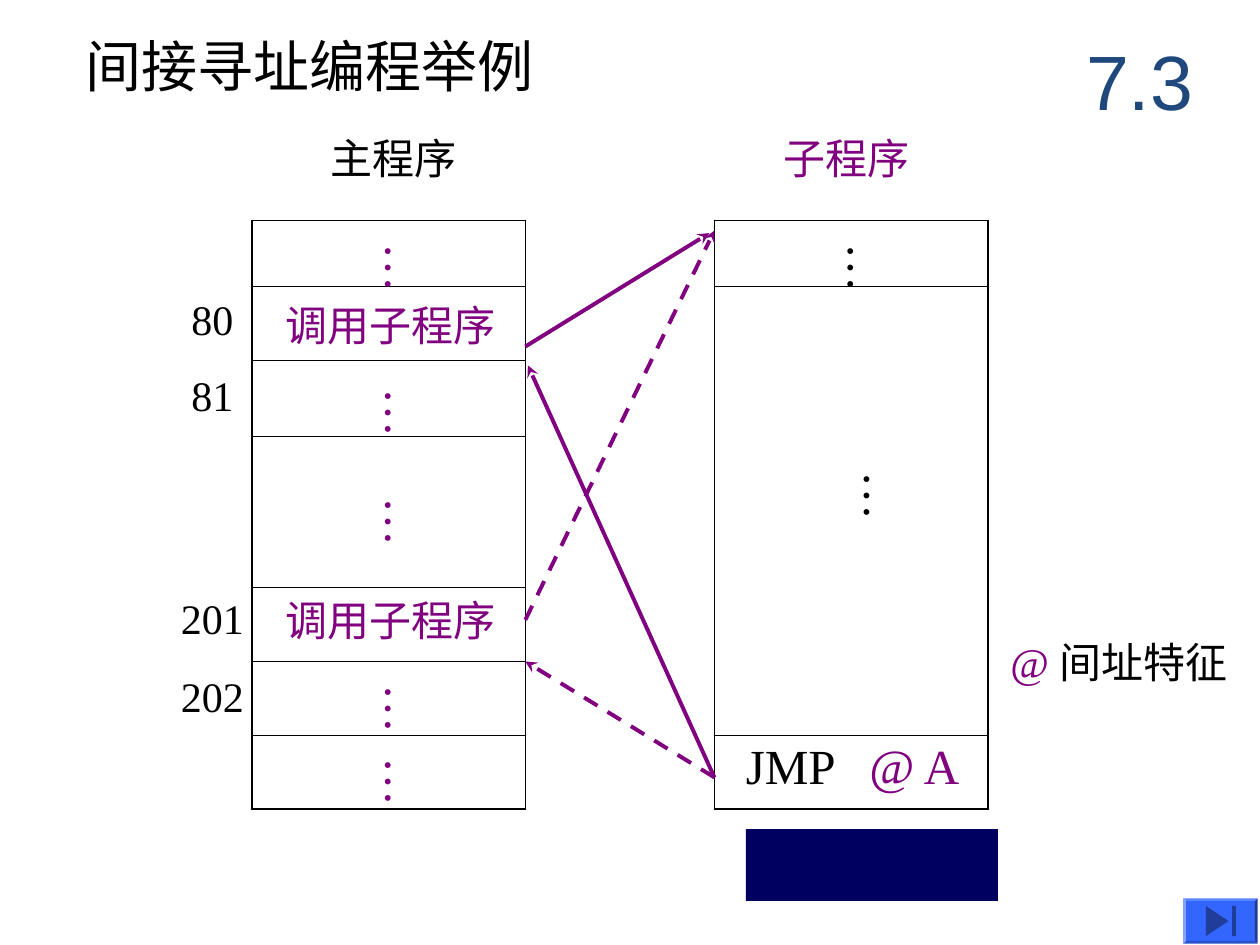
from dataclasses import dataclass

from lxml.etree import SubElement
from pptx import Presentation
from pptx.dml.color import RGBColor
from pptx.enum.dml import MSO_LINE
from pptx.enum.shapes import MSO_CONNECTOR, MSO_SHAPE
from pptx.enum.text import MSO_ANCHOR, PP_ALIGN
from pptx.oxml.ns import qn
from pptx.util import Inches, Pt


@dataclass(frozen=True)
class Theme:
    """Colours, fonts and type sizes of the slide."""
    ink: RGBColor = RGBColor.from_string("000000")
    accent: RGBColor = RGBColor.from_string("800080")
    section: RGBColor = RGBColor.from_string("1F497D")
    panel: RGBColor = RGBColor.from_string("000060")
    button: RGBColor = RGBColor.from_string("3366FF")
    symbol: RGBColor = RGBColor.from_string("1F3D99")
    serif: str = "Times New Roman"
    sans: str = "Arial"
    label: int = 24
    code: int = 28
    title: int = 32
    number: int = 44
    thin: float = 0.45
    frame: float = 1.08
    arrow: float = 2.25


THEME = Theme()
DOTS = "…"
CALL = "调用子程序"
COLUMN_WIDTH = 2.17
MAIN_ROWS = [
    (0.52, "", 0, DOTS, 0.08),
    (0.59, "80", 0.01, CALL, 0.06),
    (0.6, "81", 0.02, DOTS, 0.12),
    (1.2, "", 0, DOTS, 0.39),
    (0.59, "201", -0.01, CALL, 0.01),
    (0.59, "202", 0.02, DOTS, 0.08),
    (0.58, "", 0, DOTS, 0.07),
]
SUB_HEIGHTS = [0.52, 3.57, 0.58]
JUMPS = [
    (4.17, 2.75, 5.63, 1.85, False),
    (5.67, 6.17, 4.19, 2.9, False),
    (4.17, 4.92, 5.67, 1.83, True),
    (5.67, 6.17, 4.17, 5.25, True),
]


def style(paragraph, size, color=THEME.ink, align=PP_ALIGN.LEFT, font=THEME.serif):
    """Format a whole paragraph."""
    paragraph.alignment = align
    paragraph.font.name = font
    paragraph.font.size = Pt(size)
    paragraph.font.color.rgb = color


def paint(shape, color):
    """Give a shape a plain fill without line or shadow."""
    shape.shadow.inherit = False
    shape.fill.solid()
    shape.fill.fore_color.rgb = color
    shape.line.fill.background()


def add_text(slide, left, top, width, height, pieces, tab=None, inset=0.1, **look):
    """Place one line made of (text, colour) pieces and return its frame."""
    frame = slide.shapes.add_textbox(
        Inches(left), Inches(top), Inches(width), Inches(height)).text_frame
    frame.word_wrap = True
    frame.margin_left = Inches(inset)
    paragraph = frame.paragraphs[0]
    if tab:
        stops = SubElement(paragraph._p.get_or_add_pPr(), qn("a:tabLst"))
        SubElement(stops, qn("a:tab"), pos=str(Inches(tab)), algn="l")
    style(paragraph, color=pieces[0][1], **look)
    for text, color in pieces:
        run = paragraph.add_run()
        run.text = text
        if len(pieces) > 1:
            run.font.color.rgb = color
    return frame


def add_dots(slide, left, top, color):
    """Place an ellipsis that runs downwards."""
    frame = add_text(slide, left, top, 0.66, 0.5, [(DOTS, color)],
                     size=THEME.code, inset=0.05)
    frame.margin_right = Inches(0.05)
    frame.margin_top = frame.margin_bottom = Inches(0.1)
    frame._txBody.bodyPr.set("vert", "eaVert")


def add_border(cell, side, weight):
    """Draw one side of a cell."""
    line = SubElement(cell._tc.get_or_add_tcPr(), qn(f"a:ln{side}"), w=str(Pt(weight)))
    fill = SubElement(line, qn("a:solidFill"))
    SubElement(fill, qn("a:srgbClr"), val=str(THEME.ink))


def add_memory(slide, left, top, heights):
    """Draw a column of memory cells."""
    memory = slide.shapes.add_table(
        len(heights), 1, Inches(left), Inches(top),
        Inches(COLUMN_WIDTH), Inches(sum(heights))).table
    memory.first_row = memory.horz_banding = False
    last = len(heights) - 1
    for index, height in enumerate(heights):
        memory.rows[index].height = Inches(height)
        cell = memory.cell(index, 0)
        add_border(cell, "L", THEME.frame)
        add_border(cell, "R", THEME.frame)
        add_border(cell, "T", THEME.frame if index == 0 else THEME.thin)
        add_border(cell, "B", THEME.frame if index == last else THEME.thin)
        cell.fill.background()


def add_heading(slide, left, top, text, color):
    """Name a program above its column."""
    add_text(slide, left, top, 1.75, 0.5, [(text, color)],
             size=THEME.label, align=PP_ALIGN.CENTER)


def add_main_program(slide, left, top):
    """Draw the main program with its addresses and calls."""
    add_heading(slide, left + 0.25, top - 0.75, "主程序", THEME.ink)
    add_memory(slide, left, top, [row[0] for row in MAIN_ROWS])
    for height, address, address_drop, content, drop in MAIN_ROWS:
        if address:
            add_text(slide, left - 0.73, top + address_drop, 0.83, 0.5,
                     [(address, THEME.ink)], size=THEME.label, align=PP_ALIGN.CENTER)
        if content == DOTS:
            add_dots(slide, left + 0.84, top + drop, THEME.accent)
        else:
            add_text(slide, left + 0.17, top + drop, 1.92, 0.5,
                     [(content, THEME.accent)], size=THEME.label)
        top += height


def add_subprogram(slide, left, top):
    """Draw the subprogram with its indirect return and register panel."""
    add_heading(slide, left + 0.17, top - 0.75, "子程序", THEME.accent)
    add_memory(slide, left, top, SUB_HEIGHTS)
    add_dots(slide, left + 0.84, top + 0.08, THEME.ink)
    add_dots(slide, left + 0.97, top + 1.89, THEME.ink)
    add_text(slide, left + 0.25, top + 4.04, 2.08, 0.57,
             [("JMP\t", THEME.ink), ("@ A", THEME.accent)],
             tab=0.98, inset=0, size=THEME.code)
    register = slide.shapes.add_shape(
        MSO_SHAPE.RECTANGLE, Inches(left + 0.25), Inches(top + 4.83),
        Inches(2), Inches(0.57))
    paint(register, THEME.panel)


def add_jump(slide, x1, y1, x2, y2, dashed):
    """Draw an arrow between the programs."""
    jump = slide.shapes.add_connector(
        MSO_CONNECTOR.STRAIGHT, Inches(x1), Inches(y1), Inches(x2), Inches(y2))
    jump.line.color.rgb = THEME.accent
    jump.line.width = Pt(THEME.arrow)
    if dashed:
        jump.line.dash_style = MSO_LINE.DASH
    SubElement(jump.line._get_or_add_ln(), qn("a:tailEnd"), type="stealth")
    SubElement(jump._element.spPr, qn("a:effectLst"))


def add_header(slide, left, top):
    """Fill the title and the section number."""
    title = slide.shapes.title
    title.left, title.top = Inches(left), Inches(top)
    title.width, title.height = Inches(4.83), Inches(0.64)
    title.text_frame.text = "间接寻址编程举例"
    title.text_frame.vertical_anchor = MSO_ANCHOR.TOP
    style(title.text_frame.paragraphs[0], THEME.title)
    number = add_text(slide, left + 7.84, top - 0.03, 1.25, 0.92,
                      [("7.3", THEME.section)], size=THEME.number,
                      align=PP_ALIGN.CENTER, font=THEME.sans)
    number.vertical_anchor = MSO_ANCHOR.MIDDLE


def add_end_button(slide, left, top):
    """Draw the bevelled button with its end symbol."""
    button = slide.shapes.add_shape(
        MSO_SHAPE.BEVEL, Inches(left), Inches(top), Inches(0.59), Inches(0.36))
    button.adjustments[0] = 0.06
    paint(button, THEME.button)
    outline = slide.shapes.build_freeform(Inches(left + 0.36), Inches(top + 0.18))
    outline.add_line_segments([
        (Inches(left + 0.18), Inches(top + 0.3)),
        (Inches(left + 0.18), Inches(top + 0.06))])
    paint(outline.convert_to_shape(), THEME.symbol)
    bar = slide.shapes.add_shape(
        MSO_SHAPE.RECTANGLE, Inches(left + 0.39), Inches(top + 0.06),
        Inches(0.03), Inches(0.24))
    paint(bar, THEME.symbol)


def main():
    """Build and save the slide."""
    deck = Presentation()
    deck.slide_width, deck.slide_height = Inches(10), Inches(7.5)
    slide = deck.slides.add_slide(deck.slide_layouts[5])
    add_header(slide, 0.58, 0.2)
    add_main_program(slide, 2, 1.75)
    add_subprogram(slide, 5.67, 1.75)
    for jump in JUMPS:
        add_jump(slide, *jump)
    add_text(slide, 7.92, 5, 2.08, 0.5,
             [("@ ", THEME.accent), ("间址特征", THEME.ink)], size=THEME.label)
    add_end_button(slide, 9.39, 7.13)
    deck.save("out.pptx")


if __name__ == "__main__":
    main()
